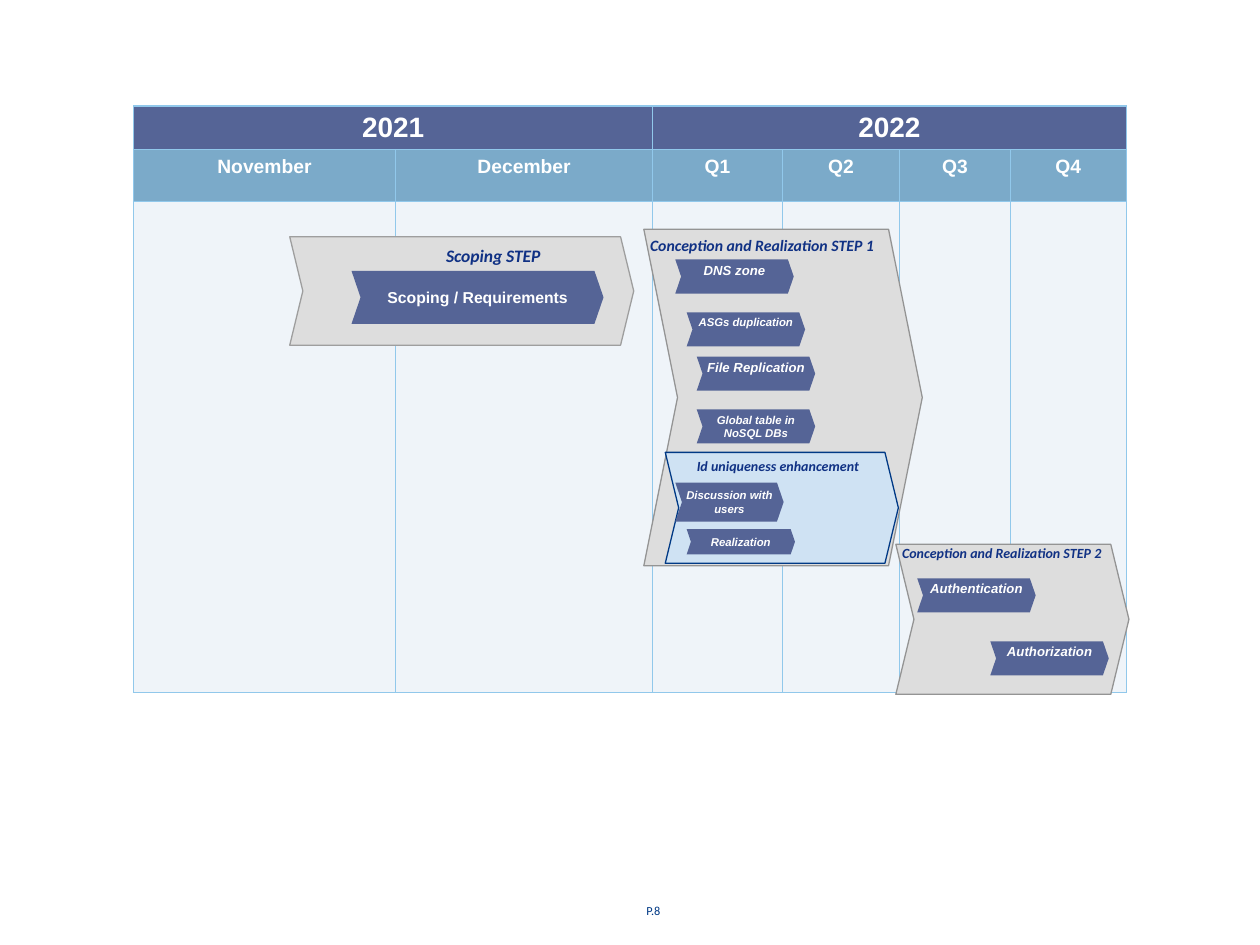
import pptx
import pptx.dml.color
import pptx.enum.shapes
import pptx.enum.text
import pptx.oxml
import pptx.oxml.ns
import pptx.util

Inches = pptx.util.Inches
Pt = pptx.util.Pt
RGBColor = pptx.dml.color.RGBColor
ALIGN = pptx.enum.text.PP_ALIGN
ANCHOR = pptx.enum.text.MSO_ANCHOR

WHITE = RGBColor(0xFF, 0xFF, 0xFF)
INDIGO = RGBColor(0x55, 0x64, 0x96)
STEEL = RGBColor(0x7B, 0xAA, 0xC9)
PALE = RGBColor(0xEF, 0xF4, 0xF9)
GRID = RGBColor(0x91, 0xC8, 0xEB)
STEP_GREY = RGBColor(0xDD, 0xDD, 0xDD)
SCOPING_EDGE = RGBColor(0x9E, 0x9E, 0x9E)
STEP_EDGE = RGBColor(0x94, 0x94, 0x94)
LIGHT_BLUE = RGBColor(0xCF, 0xE2, 0xF3)
NAVY = RGBColor(0x00, 0x39, 0x85)
TITLE_BLUE = RGBColor(0x10, 0x31, 0x84)


def add_chevron(box, notch, fill, edge=None):
    """Draw a chevron; without an edge colour it has no outline."""
    chevron = slide.shapes.add_shape(
        pptx.enum.shapes.MSO_SHAPE.CHEVRON, *map(Inches, box))
    chevron.adjustments[0] = notch * box[2] / min(box[2:])
    chevron.shadow.inherit = False
    chevron.fill.solid()
    chevron.fill.fore_color.rgb = fill
    if edge is None:
        chevron.line.fill.background()
    else:
        chevron.line.color.rgb = edge
        chevron.line.width = Pt(0.75)
    return chevron


def write(frame, text, size, font, color, bold=True, italic=True,
          align=ALIGN.CENTER, anchor=ANCHOR.MIDDLE, top=0):
    frame.word_wrap = True
    frame.vertical_anchor = anchor
    frame.margin_left = frame.margin_right = frame.margin_bottom = 0
    frame.margin_top = Inches(top)
    paragraph = frame.paragraphs[0]
    paragraph.text = text
    paragraph.alignment = align
    paragraph.font.size = Pt(size)
    paragraph.font.name = font
    paragraph.font.color.rgb = color
    paragraph.font.bold = bold
    paragraph.font.italic = italic


deck = pptx.Presentation()
deck.slide_width = Inches(10)
deck.slide_height = Inches(7.5)
slide = deck.slides.add_slide(deck.slide_layouts[6])

# Calendar
column_widths = [2.08, 2.04, 1.03, 0.93, 0.88, 0.92]
row_heights = [0.32, 0.41, 3.9]
periods = [
    (["2021", "", "2022", "", "", ""], 16, INDIGO),
    (["November", "December", "Q1", "Q2", "Q3", "Q4"], 11, STEEL),
    ([""] * 6, 11, PALE),
]
calendar = slide.shapes.add_table(
    3, 6, Inches(1.06), Inches(0.84),
    Inches(sum(column_widths)), Inches(sum(row_heights))).table
calendar.first_row = calendar.horz_banding = False
for column, width in zip(calendar.columns, column_widths):
    column.width = Inches(width)
for row, height in zip(calendar.rows, row_heights):
    row.height = Inches(height)

for row, (labels, size, fill) in zip(calendar.rows, periods):
    for cell, label in zip(row.cells, labels):
        properties = cell._tc.get_or_add_tcPr()
        for side in ("lnL", "lnR", "lnT", "lnB"):
            properties.append(pptx.oxml.parse_xml(
                f'<a:{side} {pptx.oxml.ns.nsdecls("a")} w="{Pt(1)}">'
                f'<a:solidFill><a:srgbClr val="{GRID}"/></a:solidFill></a:{side}>'))
        cell.fill.solid()
        cell.fill.fore_color.rgb = fill
        if label:
            heading = cell.text_frame.paragraphs[0]
            heading.text = label
            heading.alignment = ALIGN.CENTER
            heading.font.size = Pt(size)
            heading.font.name = "Arial"
            heading.font.bold = True
            heading.font.color.rgb = WHITE
calendar.cell(0, 0).merge(calendar.cell(0, 1))
calendar.cell(0, 2).merge(calendar.cell(0, 5))

# Project steps: chevron, fill, edge, title, title box, title size
steps = [
    ((2.3, 1.88, 2.73, 0.86), STEP_GREY, SCOPING_EDGE,
     "Scoping STEP", (3.54, 1.93, 1.09, 0.2), 10),
    ((5.11, 1.82, 2.21, 2.67), STEP_GREY, STEP_EDGE,
     "Conception and Realization STEP 1", (5.16, 1.85, 2, 0.2), 9),
    ((5.28, 3.59, 1.85, 0.88), LIGHT_BLUE, NAVY,
     "Id uniqueness enhancement", (5.53, 3.6, 1.35, 0.2), 8),
    ((7.11, 4.32, 1.85, 1.19), STEP_GREY, STEP_EDGE,
     "Conception and Realization STEP 2", (7.16, 4.29, 2, 0.2), 8),
]
for box, fill, edge, title, title_box, size in steps:
    # The notch depth is a share of the shorter side
    add_chevron(box, 0.121 * min(box[2:]) / box[2], fill, edge)
    title_area = slide.shapes.add_textbox(*map(Inches, title_box))
    write(title_area.text_frame, title, size, "Calibri", TITLE_BLUE,
          align=ALIGN.LEFT)

# Tasks: chevron, label, size, anchor
tasks = [
    ((2.79, 2.15, 2, 0.42), "Scoping / Requirements", 9, ANCHOR.MIDDLE),
    ((5.36, 2.06, 0.94, 0.27), "DNS zone", 7.5, ANCHOR.TOP),
    ((5.45, 2.48, 0.94, 0.27), "ASGs duplication", 6.5, ANCHOR.TOP),
    ((5.53, 2.83, 0.94, 0.27), "File Replication", 7.5, ANCHOR.TOP),
    ((5.53, 3.25, 0.94, 0.27), "Global table in NoSQL DBs", 6.5, ANCHOR.MIDDLE),
    ((5.36, 3.83, 0.86, 0.31), "Discussion with users", 6.5, ANCHOR.MIDDLE),
    ((5.45, 4.2, 0.86, 0.2), "Realization", 6.5, ANCHOR.MIDDLE),
    ((7.28, 4.59, 0.94, 0.27), "Authentication", 7.5, ANCHOR.TOP),
    ((7.86, 5.09, 0.94, 0.27), "Authorization", 7.5, ANCHOR.TOP),
]
for box, label, size, anchor in tasks:
    task = add_chevron(box, 0.171 * min(box[2:]) / box[2], INDIGO)
    write(task.text_frame, label, size, "Arial", WHITE,
          italic=label != "Scoping / Requirements", anchor=anchor,
          top=0.02 if anchor == ANCHOR.TOP else 0)

page_number = slide.shapes.add_textbox(
    Inches(4.96), Inches(7.03), Inches(0.45), Inches(0.4))
write(page_number.text_frame, "P.8", 7, "Calibri", NAVY, bold=False, italic=False)

deck.save("out.pptx")
